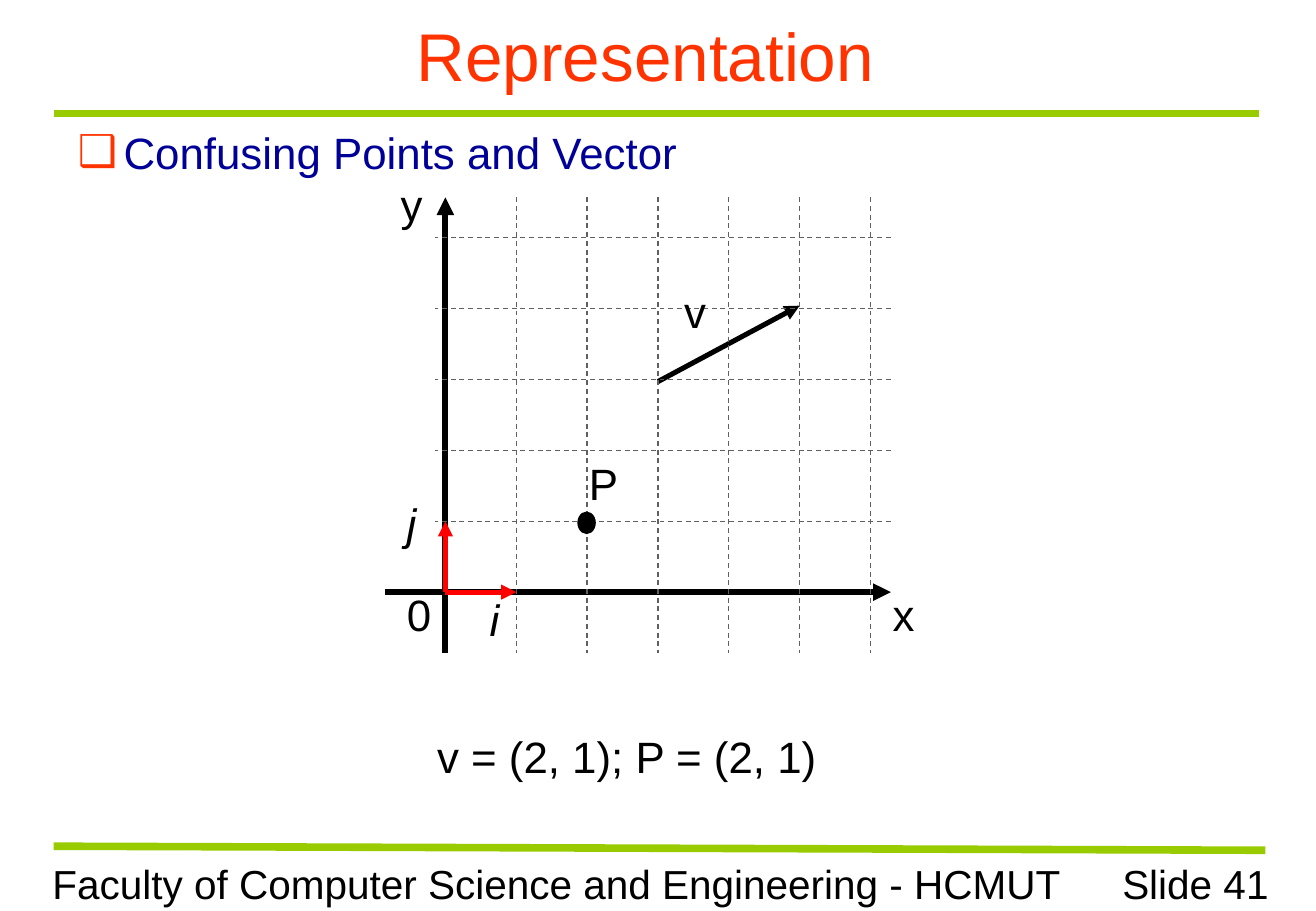
from lxml import etree
from pptx import Presentation
from pptx.dml.color import RGBColor
from pptx.enum.dml import MSO_LINE_DASH_STYLE as Dash
from pptx.enum.shapes import MSO_CONNECTOR as Connector, MSO_SHAPE as Shape
from pptx.enum.text import MSO_ANCHOR as Anchor, MSO_AUTO_SIZE as AutoSize, PP_ALIGN as Align
from pptx.oxml.ns import qn
from pptx.util import Emu, Pt

PX = 7620  # 120 px to the inch
BLACK = RGBColor(0x00, 0x00, 0x00)
RED = RGBColor(0xFF, 0x00, 0x00)
ORANGE = RGBColor(0xFF, 0x33, 0x00)
NAVY = RGBColor(0x00, 0x00, 0x99)
GREEN = RGBColor(0x99, 0xCC, 0x00)
GRAY = RGBColor(0x60, 0x60, 0x60)

TITLE = "Representation"
TOPIC = "Confusing Points and Vector"
BULLET = "❑"
FOOTER = "Faculty of Computer Science and Engineering - HCMUT"
PAGE = "Slide 41"
FORMULA = "v = (2, 1); P = (2, 1)"

# text, (left, top, width, height), italic
LABELS = [
    ("x", (870, 575, 46, 65), False),
    ("0", (390, 575, 49, 65), False),
    ("y", (384, 170, 46, 65), False),
    ("v", (664, 275, 46, 65), False),
    ("i", (472, 580, 31, 65), True),
    ("j", (390, 485, 34, 65), True),
    ("P", (570, 445, 54, 65), False),
]
RULES = [((53, 112), (1244, 112)), ((53, 836), (1250, 840))]

ORIGIN_X, ORIGIN_Y, UNIT = 440, 585, 70
COLUMNS, ROWS = 6, 5
AXIS_LEFT, AXIS_RIGHT = 380, 880
AXIS_TOP, AXIS_BOTTOM = 195, 645
GRID_LEFT = 430
VECTOR = ((650, 377), (790, 302))
POINT = (571, 506, 17, 21)


def emu(lengths):
    return [Emu(length * PX) for length in lengths]


def write(frame, text, size=26, color=BLACK, italic=False, align=Align.LEFT,
          anchor=Anchor.TOP, wrap=True, bullet=None):
    frame.auto_size = AutoSize.NONE
    frame.word_wrap = wrap
    frame.vertical_anchor = anchor
    frame.text = text
    paragraph = frame.paragraphs[0]
    paragraph.alignment = align
    paragraph.space_before = Pt(0)
    if bullet:
        add_bullet(paragraph, bullet)
    font = paragraph.runs[0].font
    font.name, font.size, font.italic = "Arial", Pt(size), italic
    font.color.rgb = color


def add_bullet(paragraph, mark, indent=45):
    properties = paragraph._p.get_or_add_pPr()
    properties.set("marL", str(indent * PX))
    properties.set("indent", str(-indent * PX))
    bullet_color = etree.SubElement(properties, qn("a:buClr"))
    etree.SubElement(bullet_color, qn("a:srgbClr"), val=str(ORANGE))
    etree.SubElement(properties, qn("a:buChar"), char=mark)


def place(shape, box):
    shape.left, shape.top, shape.width, shape.height = emu(box)


def add_text(shapes, text, box, **style):
    write(shapes.add_textbox(*emu(box)).text_frame, text, **style)


def add_line(shapes, start, end, color, width, dash=None, arrow=False):
    connector = shapes.add_connector(Connector.STRAIGHT, *emu(start + end))
    line = connector.line
    line.color.rgb = color
    line.width = Pt(width)
    if dash:
        line.dash_style = dash
    properties = connector._element.spPr
    if arrow:
        etree.SubElement(properties.find(qn("a:ln")), qn("a:tailEnd"), type="triangle")
    etree.SubElement(properties, qn("a:effectLst"))


def draw_plot(shapes):
    origin = (ORIGIN_X, ORIGIN_Y)
    arrows = [
        ((AXIS_LEFT, ORIGIN_Y), (AXIS_RIGHT, ORIGIN_Y), BLACK, 3.5),
        ((ORIGIN_X, AXIS_BOTTOM), (ORIGIN_X, AXIS_TOP), BLACK, 3.5),
        (origin, (ORIGIN_X + UNIT, ORIGIN_Y), RED, 3),
        (origin, (ORIGIN_X, ORIGIN_Y - UNIT), RED, 3),
        (*VECTOR, BLACK, 3),
    ]
    for arrow in arrows:
        add_line(shapes, *arrow, arrow=True)

    for column in range(1, COLUMNS + 1):
        x = ORIGIN_X + column * UNIT
        add_line(shapes, (x, AXIS_TOP), (x, AXIS_BOTTOM), GRAY, 0.75, dash=Dash.DASH)
    for row in range(1, ROWS + 1):
        y = ORIGIN_Y - row * UNIT
        add_line(shapes, (AXIS_RIGHT, y), (GRID_LEFT, y), GRAY, 0.75, dash=Dash.DASH)

    for text, box, italic in LABELS:
        add_text(shapes, text, box, italic=italic, wrap=False)

    point = shapes.add_shape(Shape.OVAL, *emu(POINT))
    point.shadow.inherit = False
    point.fill.solid()
    point.fill.fore_color.rgb = BLACK
    point.line.color.rgb = BLACK
    point.line.width = Pt(0.75)


def main():
    deck = Presentation()
    deck.slide_width, deck.slide_height = emu((1300, 900))
    slide = deck.slides.add_slide(deck.slide_layouts[1])
    shapes = slide.shapes

    title, topic = shapes.title, slide.placeholders[1]
    place(title, (40, 12, 1195, 84))
    write(title.text_frame, TITLE, size=40, color=ORANGE, align=Align.CENTER,
          anchor=Anchor.MIDDLE)
    place(topic, (65, 118, 1170, 94))
    write(topic.text_frame, TOPIC, color=NAVY, bullet=BULLET)

    for start, end in RULES:
        add_line(shapes, start, end, GREEN, 4.5)
    add_text(shapes, FOOTER, (40, 843, 1022, 60), size=24)
    add_text(shapes, PAGE, (1026, 843, 239, 60), size=24, align=Align.RIGHT)

    draw_plot(shapes)
    add_text(shapes, FORMULA, (420, 715, 450, 65))
    deck.save("out.pptx")


if __name__ == "__main__":
    main()
